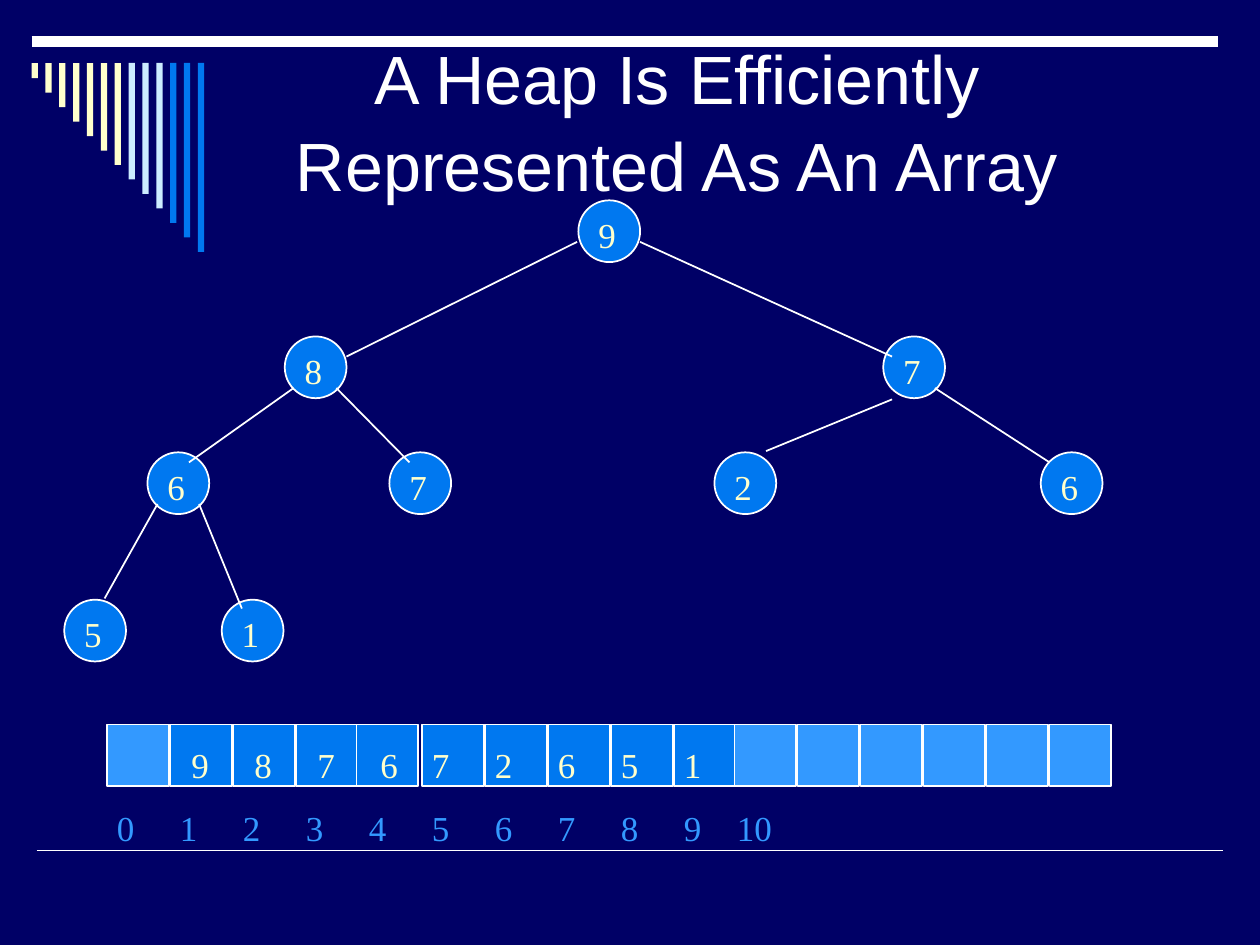
from dataclasses import dataclass

from lxml.etree import SubElement
from pptx import Presentation
from pptx.dml.color import RGBColor
from pptx.enum.shapes import MSO_CONNECTOR, MSO_SHAPE
from pptx.enum.text import MSO_ANCHOR, PP_ALIGN
from pptx.oxml.ns import qn
from pptx.util import Inches, Pt


@dataclass(frozen=True)
class Theme:
    background: str = "000066"
    white: str = "FFFFFF"
    cream: str = "FFFFCC"
    pale_blue: str = "CCECFF"
    blue: str = "0078F0"
    light_blue: str = "3399FF"
    title_font: str = "Arial"
    body_font: str = "Times New Roman"
    title_size: int = 39
    body_size: int = 20
    line_spacing: float = 1.07


THEME = Theme()

TITLE = "A Heap Is Efficiently Represented As An Array"
HEAP = [9, 8, 7, 6, 7, 2, 6, 5, 1]
CELL_COUNT = 16
LABEL_COUNT = 11
SIDE = 0.49  # circles and array cells share this size

# Left and top of each node, in heap order
NODES = [
    (4.59, 1.59),
    (2.26, 2.67), (7.01, 2.67),
    (1.17, 3.59), (3.09, 3.59), (5.67, 3.59), (8.26, 3.59),
    (0.51, 4.76), (1.76, 4.76),
]
# Parent end and child end of each edge
EDGES = [
    (4.58, 1.92, 2.75, 2.83), (5.08, 1.92, 7.08, 2.83),
    (2.33, 3.08, 1.5, 3.67), (2.67, 3.08, 3.25, 3.67),
    (7.08, 3.17, 6.08, 3.58), (7.42, 3.08, 8.33, 3.67),
    (1.25, 4, 0.83, 4.75), (1.58, 4, 1.92, 4.83),
]


def add_filled(slide, kind, left, top, width, height, fill, outlined=True):
    shape = slide.shapes.add_shape(
        kind, Inches(left), Inches(top), Inches(width), Inches(height))
    shape.shadow.inherit = False
    shape.fill.solid()
    shape.fill.fore_color.rgb = RGBColor.from_string(fill)
    if outlined:
        shape.line.color.rgb = RGBColor.from_string(THEME.white)
        shape.line.width = Pt(1)
    else:
        shape.line.fill.background()


def add_line(slide, x1, y1, x2, y2, width=1):
    connector = slide.shapes.add_connector(
        MSO_CONNECTOR.STRAIGHT, Inches(x1), Inches(y1), Inches(x2), Inches(y2))
    connector.line.color.rgb = RGBColor.from_string(THEME.white)
    connector.line.width = Pt(width)
    SubElement(connector._element.spPr, qn("a:effectLst"))


def add_text(slide, text, left, top, width, height, color,
             font=THEME.body_font, size=THEME.body_size):
    box = slide.shapes.add_textbox(
        Inches(left), Inches(top), Inches(width), Inches(height))
    frame = box.text_frame
    frame.word_wrap = True
    paragraph = frame.paragraphs[0]
    paragraph.text = text
    paragraph.line_spacing = THEME.line_spacing
    paragraph.font.name = font
    paragraph.font.size = Pt(size)
    paragraph.font.color.rgb = RGBColor.from_string(color)
    return frame


def add_number(slide, number, left, top, color, width=0.34):
    add_text(slide, str(number), left, top, width, 0.43, color)


def add_decoration(slide):
    add_line(slide, 0.29, 6.75, 9.71, 6.75)
    add_line(slide, 0.25, 0.33, 9.67, 0.33, width=6)
    colors = [THEME.cream] * 7 + [THEME.pale_blue] * 3 + [THEME.blue] * 3
    for index, color in enumerate(colors):
        add_filled(slide, MSO_SHAPE.RECTANGLE, 0.25 + 0.11 * index, 0.5,
                   0.05, 0.12 + 1.38 * index / 12, color, outlined=False)


def add_title(slide):
    frame = add_text(slide, TITLE, 1.25, 0.27, 8.25, 1.33, THEME.white,
                     THEME.title_font, THEME.title_size)
    frame.margin_left = frame.margin_right = Inches(0.25)
    frame.vertical_anchor = MSO_ANCHOR.MIDDLE
    frame.paragraphs[0].alignment = PP_ALIGN.CENTER


def add_tree(slide):
    for left, top in NODES:
        add_filled(slide, MSO_SHAPE.OVAL, left, top, SIDE, SIDE, THEME.blue)
    for edge in EDGES:
        add_line(slide, *edge)
    for value, (left, top) in zip(HEAP, NODES):
        add_number(slide, value, left + 0.06, top + 0.03, THEME.cream)


def add_array(slide):
    # Cells: slot 0 and the slots after the heap stay empty
    for index in range(CELL_COUNT):
        used = 1 <= index <= len(HEAP)
        nudge = 0.02 if index == 4 or index > len(HEAP) else 0
        add_filled(slide, MSO_SHAPE.RECTANGLE, 0.85 + 0.5 * index - nudge, 5.75,
                   SIDE, SIDE, THEME.blue if used else THEME.light_blue)
    # Values, starting at slot 1
    for index, value in enumerate(HEAP, start=1):
        start = 0.92 if index <= 4 else 0.83
        add_number(slide, value, start + 0.5 * index, 5.83, THEME.cream)
    # Index labels below the cells
    for index in range(LABEL_COUNT):
        left, width = (0.83, 0.34) if index < 10 else (0.75, 0.58)
        add_number(slide, index, left + 0.5 * index, 6.33, THEME.light_blue, width)


def main():
    presentation = Presentation()
    presentation.slide_width = Inches(10)
    presentation.slide_height = Inches(7.5)
    slide = presentation.slides.add_slide(presentation.slide_layouts[6])
    slide.background.fill.solid()
    slide.background.fill.fore_color.rgb = RGBColor.from_string(THEME.background)

    add_decoration(slide)
    add_title(slide)
    add_tree(slide)
    add_array(slide)
    presentation.save("out.pptx")


if __name__ == "__main__":
    main()
